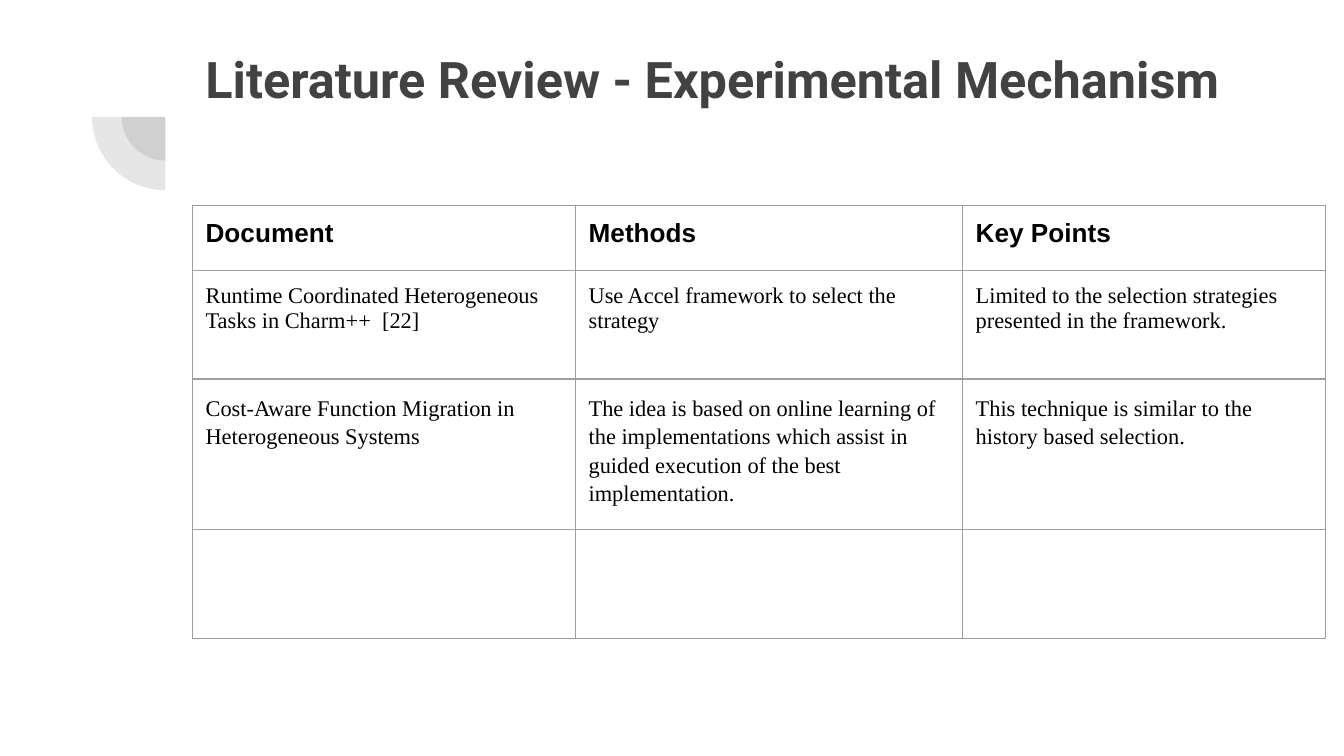
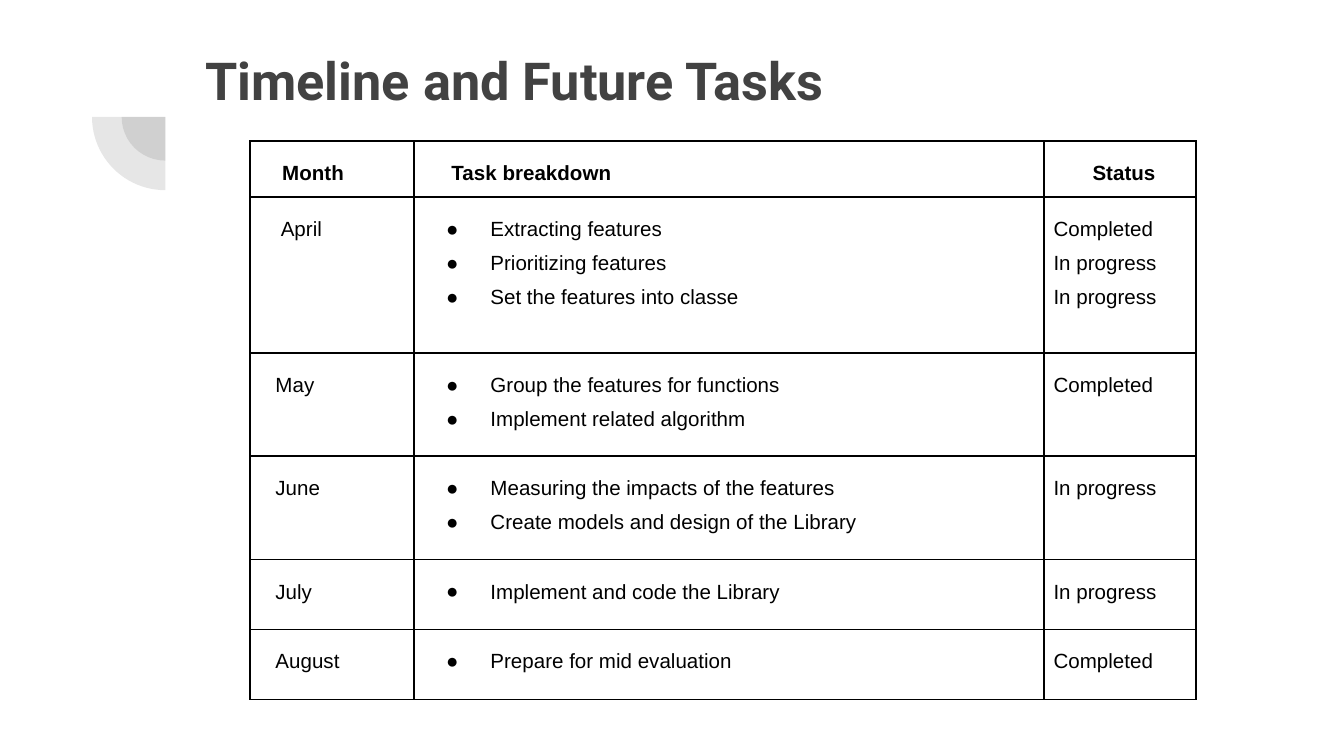
from lxml.etree import SubElement
from pptx import Presentation
from pptx.dml.color import RGBColor
from pptx.enum.shapes import MSO_SHAPE
from pptx.enum.text import MSO_ANCHOR
from pptx.oxml.ns import qn
from pptx.util import Inches, Pt

GREY = "424242"
BLACK = "000000"
BODY_FONT = "Arial"
FRAME_SIDE = 3.28

REVIEW_ROWS = [
    ("Document", "Methods", "Key Points"),
    ("Runtime Coordinated Heterogeneous Tasks in Charm++  [22]",
     "Use Accel framework to select the strategy",
     "Limited to the selection strategies presented in the framework."),
    ("Cost-Aware Function Migration in Heterogeneous Systems",
     "The idea is based on online learning of the implementations which assist in "
     "guided execution of the best implementation.",
     "This technique is similar to the history based selection."),
    ("", "", ""),
]
TIMELINE_ROWS = [
    ("Month", "Task breakdown", "Status"),
    ("April", "Extracting features\nPrioritizing features\nSet the features into classe",
     "Completed\nIn progress\nIn progress"),
    ("May", "Group the features for functions\nImplement related algorithm", "Completed"),
    ("June", "Measuring the impacts of the features\nCreate models and design of the Library",
     "In progress"),
    ("July", "Implement and code the Library", "In progress"),
    ("August", "Prepare for mid evaluation", "Completed"),
]


def color(value):
    """Turn a hex string into a colour."""
    return RGBColor.from_string(value)


def style_paragraph(paragraph, size, font_name, hex_color, bold=False, spacing=1.0):
    """Format the spacing and the runs of a paragraph."""
    paragraph.line_spacing = spacing
    for run in paragraph.runs:
        run.font.size = Pt(size)
        run.font.name = font_name
        run.font.bold = bold
        run.font.color.rgb = color(hex_color)


def indent(paragraph, left, first_line=0):
    """Set the left margin and first line indent of a paragraph."""
    properties = paragraph._p.get_or_add_pPr()
    properties.set("marL", str(Inches(left)))
    properties.set("indent", str(Inches(first_line)))


def add_bullet(paragraph):
    """Give a paragraph a hanging round bullet."""
    indent(paragraph, 0.5, -0.33)
    properties = paragraph._p.get_or_add_pPr()
    bullet_color = SubElement(properties, qn("a:buClr"))
    SubElement(bullet_color, qn("a:srgbClr"), val=BLACK)
    SubElement(properties, qn("a:buFont"), typeface=BODY_FONT)
    SubElement(properties, qn("a:buChar"), char="●")


def set_margins(target, inset):
    """Give a cell or text frame equal margins."""
    target.margin_left = target.margin_right = Inches(inset)
    target.margin_top = target.margin_bottom = Inches(inset)


def add_borders(cell, hex_color, width):
    """Draw the four borders of a table cell."""
    properties = cell._tc.get_or_add_tcPr()
    for side in ("a:lnL", "a:lnR", "a:lnT", "a:lnB"):
        line = SubElement(properties, qn(side), w=str(Pt(width)))
        fill = SubElement(line, qn("a:solidFill"))
        SubElement(fill, qn("a:srgbClr"), val=hex_color)


def add_grid(slide, left, top, widths, heights, rows, inset, border):
    """Add a plain bordered table filled with text."""
    frame = slide.shapes.add_table(len(heights), len(widths), Inches(left), Inches(top),
                                   Inches(FRAME_SIDE), Inches(FRAME_SIDE))
    table = frame.table
    table.first_row = table.horz_banding = False
    for column, width in zip(table.columns, widths):
        column.width = Inches(width)
    for row, height, texts in zip(table.rows, heights, rows):
        row.height = Inches(height)
        for cell, text in zip(row.cells, texts):
            set_margins(cell, inset)
            add_borders(cell, *border)
            cell.fill.background()
            cell.text_frame.text = text
    frame.width = frame.height = Inches(FRAME_SIDE)
    return table


def add_corner_arcs(slide, center_x, center_y):
    """Add the two translucent quarter discs around a shared corner."""
    for diameter in (0.65, 1.09):
        shape = slide.shapes.add_shape(
            MSO_SHAPE.PIE, Inches(center_x - diameter / 2), Inches(center_y - diameter / 2),
            Inches(diameter), Inches(diameter))
        shape.adjustments[0] = 108
        shape.adjustments[1] = 162
        shape.rotation = 270
        shape.shadow.inherit = False
        shape.line.fill.background()
        shape.fill.solid()
        shape.fill.fore_color.rgb = color(GREY)
        for fill_color in shape._element.spPr.iter(qn("a:srgbClr")):
            SubElement(fill_color, qn("a:alpha"), val="13000")


def add_titled_slide(presentation, title, width, height, size):
    """Add a slide with the shared corner arcs and title style."""
    slide = presentation.slides.add_slide(presentation.slide_layouts[6])
    add_corner_arcs(slide, 1.23, 0.87)
    box = slide.shapes.add_textbox(Inches(1.43), Inches(0.26), Inches(width), Inches(height))
    text_frame = box.text_frame
    text_frame.word_wrap = True
    text_frame.vertical_anchor = MSO_ANCHOR.TOP
    set_margins(text_frame, 0.1)
    text_frame.text = title
    style_paragraph(text_frame.paragraphs[0], size, "Roboto", GREY, bold=True)
    return slide


def add_review_table(slide, left, top):
    """Add the literature review table."""
    table = add_grid(slide, left, top, (2.85, 2.88, 2.7), (0.48, 0.81, 0.81, 0.81),
                     REVIEW_ROWS, 0.1, ("9E9E9E", 0.75))
    row_styles = [(14, BODY_FONT, BLACK, True, 1.0)]
    row_styles += [(12, "Times New Roman", BLACK, False, spacing) for spacing in (1.0, 1.15, 1.0)]
    for row, row_style in zip(table.rows, row_styles):
        for cell in row.cells:
            style_paragraph(cell.text_frame.paragraphs[0], *row_style)


def add_timeline_table(slide, left, top):
    """Add the monthly task table."""
    table = add_grid(slide, left, top, (1.22, 4.69, 1.13), (0.38, 1.16, 0.77, 0.77, 0.52, 0.52),
                     TIMELINE_ROWS, 0.07, (BLACK, 1))
    header_indents = (0.17, 0.21, 0.29)
    body_indents = (0.12, 0, 0)
    for row_index, row in enumerate(table.rows):
        is_header = row_index == 0
        indents = header_indents if is_header else body_indents
        for column_index, cell in enumerate(row.cells):
            paragraphs = cell.text_frame.paragraphs
            is_task = column_index == 1 and not is_header
            for paragraph in paragraphs:
                style_paragraph(paragraph, 11, BODY_FONT, BLACK, is_header, 1.5)
                if is_task:
                    add_bullet(paragraph)
                else:
                    indent(paragraph, indents[column_index])
            if is_task:
                paragraphs[-1].space_after = Pt(10)
    indent(table.cell(1, 0).text_frame.paragraphs[0], 0.16)


def main():
    """Build and save the presentation."""
    presentation = Presentation()
    presentation.slide_width = Inches(10)
    presentation.slide_height = Inches(10) * 9 // 16
    review = add_titled_slide(presentation, "Literature Review - Experimental Mechanism",
                              8.49, 0.69, 27)
    add_review_table(review, 1.43, 1.53)
    timeline = add_titled_slide(presentation, "Timeline and Future Tasks", 7.69, 0.72, 28)
    add_timeline_table(timeline, 1.86, 1.05)
    presentation.save("out.pptx")


if __name__ == "__main__":
    main()
